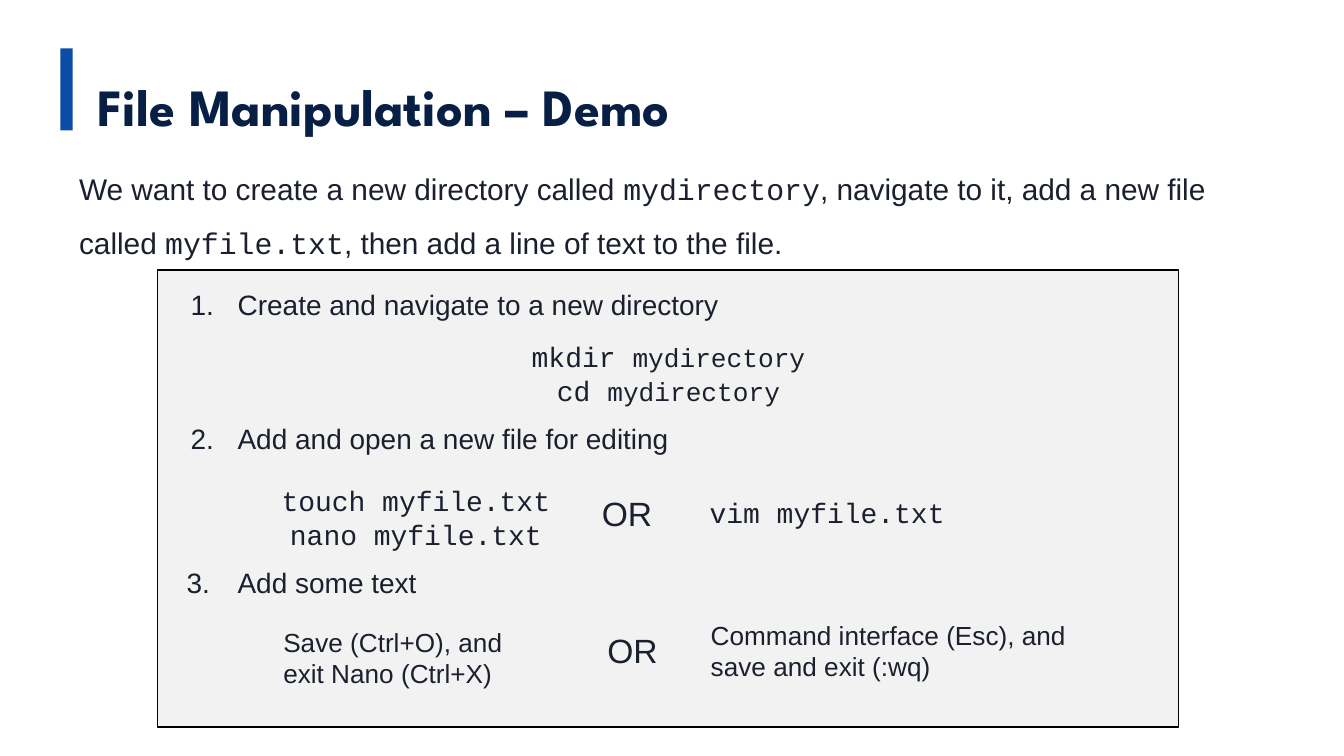
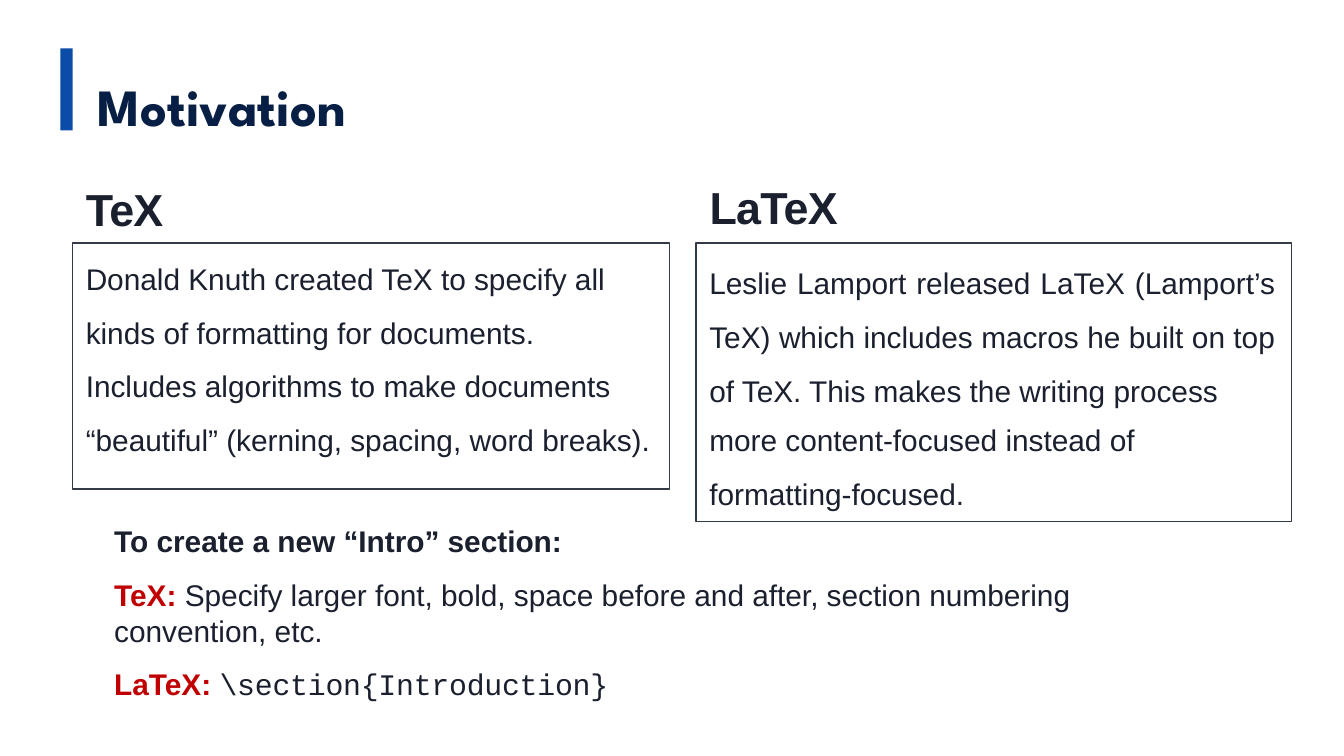
from dataclasses import dataclass
from lxml.etree import SubElement
from pptx import Presentation
from pptx.dml.color import RGBColor
from pptx.enum.shapes import MSO_SHAPE
from pptx.enum.text import MSO_ANCHOR, PP_ALIGN
from pptx.oxml.ns import qn
from pptx.util import Inches, Pt


@dataclass(frozen=True)
class Theme:
    navy: str = "071F45"
    blue: str = "0A4CA8"
    ink: str = "1B202F"
    red: str = "C00000"
    gray: str = "F2F2F2"
    edge: str = "333B46"
    black: str = "000000"
    sans: str = "Arial"
    mono: str = "Courier New"
    head: str = "League Spartan"
    title: int = 28
    sub: int = 24
    link: int = 18
    body: int = 16
    step: int = 15
    note: int = 14


T = Theme()


def look(size, name=T.sans, color=T.ink, bold=False, track=0):
    return {"size": Pt(size), "name": name, "color": color, "bold": bold,
            "track": track}


LOOKS = {
    "title": look(T.title, T.head, T.navy, True),
    "sub": look(T.sub, bold=True, track=-0.4),
    "link": look(T.link),
    "body": look(T.body),
    "bold": look(T.body, bold=True),
    "red": look(T.body, color=T.red, bold=True),
    "term": look(T.body, T.mono),
    "macro": look(T.body, T.mono, track=-0.1),
    "step": look(T.step),
    "code": look(T.step, T.mono),
    "arg": look(T.note, T.mono),
    "note": look(T.note),
}

MID = {"alignment": PP_ALIGN.CENTER}
PAD = (0.1, 0.05, 0.1, 0.05)

INTRO = [
    ("We want to create a new directory called ", "body"),
    ("mydirectory", "term"),
    (", navigate to it, add a new file called ", "body"),
    ("myfile.txt", "term"),
    (", then add a line of text to the file.", "body"),
]

STEPS = [
    (1.32, 2.09, "Create and navigate to a new directory"),
    (1.32, 3.09, "Add and open a new file for editing"),
    (1.29, 4.16, "Add some text"),
]
STEP_TEXT = 1.77

DEMO = [
    ((0.49, 1.09, 8.79, 0.87), [(INTRO, {"line_spacing": 1.5})]),
    ((3.18, 2.48, 3.59, 0.62), [
        ([("mkdir ", "code"), ("mydirectory", "arg")], MID),
        ([("cd ", "code"), ("mydirectory", "arg")], MID),
    ]),
    ((1.67, 3.55, 2.85, 0.61), [
        ([("touch myfile.txt", "code")], MID),
        ([("nano myfile.txt", "code")], MID),
    ]),
    ((4.38, 3.62, 0.62, 0.4), [([("OR", "link")], {})]),
    ((4.73, 3.64, 2.85, 0.35), [([("vim myfile.txt", "code")], MID)]),
    ((2.01, 4.61, 1.93, 0.57),
     [([("Save (Ctrl+O), and exit Nano (Ctrl+X)", "note")], {})]),
    ((4.42, 4.64, 0.62, 0.4), [([("OR", "link")], {})]),
    ((5.19, 4.56, 3.16, 0.57),
     [([("Command interface (Esc), and save and exit (:wq)", "note")], {})]),
]

CARDS = [
    ((0.54, 1.81, 4.44, 1.83), (0.1, 0.13, 0, 0), [
        ([("Donald Knuth created TeX to specify all", "body")], {}),
        ([("kinds of formatting for documents.", "body"),
          None,
          ("Includes algorithms to make documents “beautiful” "
           "(kerning, spacing, word breaks).", "body")],
         {"line_spacing": 1.5}),
    ]),
    ((5.18, 1.81, 4.43, 2.07), (0.1, 0.03, 0.12, 0), [
        ([("Leslie Lamport released LaTeX (Lamport’s TeX) which includes "
           "macros he built on top of TeX. This makes the writing process",
           "body")],
         {"alignment": PP_ALIGN.JUSTIFY, "line_spacing": Pt(28.8)}),
        ([("more content-focused instead of", "body")],
         {"alignment": PP_ALIGN.JUSTIFY, "space_before": Pt(7)}),
        ([("formatting-focused.", "body")], {"space_before": Pt(9.6)}),
    ]),
]

GAP = {"space_before": Pt(9.6)}
NOTES = [
    ((0.84, 3.74, 7.17, 1.51), (0.01, 0.15, 0, 0), [
        ([("To create a new “Intro” section:", "bold")], {}),
        ([("TeX: ", "red"),
          ("Specify larger font, bold, space before and after, section "
           "numbering convention, etc.", "body")], GAP),
        ([("LaTeX: ", "red"), ("\\section{Introduction}", "macro")], GAP),
    ]),
    ((0.63, 1.34, 0.61, 0.43), (0.01, 0.01, 0, 0),
     [([("TeX", "sub")], {})]),
    ((5.27, 1.33, 1, 0.43), (0.01, 0.01, 0, 0),
     [([("LaTeX", "sub")], {})]),
]


def apply(obj, vals):
    for key, val in vals.items():
        if key == "color":
            obj.color.rgb = RGBColor.from_string(val)
        elif key == "track":
            obj._rPr.set("spc", str(round(val * 100)))
        else:
            setattr(obj, key, val)


def write(shape, paras, pad=PAD):
    frame = shape.text_frame
    left, top, right, base = map(Inches, pad)
    apply(frame, {
        "word_wrap": True, "vertical_anchor": MSO_ANCHOR.TOP,
        "margin_left": left, "margin_top": top,
        "margin_right": right, "margin_bottom": base,
    })
    for num, (runs, form) in enumerate(paras):
        para = frame.add_paragraph() if num else frame.paragraphs[0]
        apply(para, {"alignment": PP_ALIGN.LEFT, **form})
        for part in runs:
            if part is None:
                para.add_line_break()
                continue
            run = para.add_run()
            run.text = part[0]
            apply(run.font, LOOKS[part[1]])
    return frame


def text(slide, at, paras, pad=PAD):
    return write(slide.shapes.add_textbox(*map(Inches, at)), paras, pad)


def rect(slide, at, fill=None, line=None):
    box = slide.shapes.add_shape(MSO_SHAPE.RECTANGLE, *map(Inches, at))
    box.shadow.inherit = False
    if fill:
        box.fill.solid()
        box.fill.fore_color.rgb = RGBColor.from_string(fill)
    else:
        box.fill.background()
    if line:
        apply(box.line, {"color": line, "width": Pt(0.75)})
    else:
        box.line.fill.background()
    return box


def number(para, num, hang):
    prop = para._p.get_or_add_pPr()
    prop.set("marL", str(Inches(hang)))
    prop.set("indent", str(-Inches(hang)))
    mark = SubElement(prop, qn("a:buAutoNum"), type="arabicPeriod")
    mark.set("startAt", str(num))


def begin(deck, title):
    slide = deck.slides.add_slide(deck.slide_layouts[6])
    rect(slide, (0.45, 0.36, 0.09, 0.61), T.blue)
    text(slide, (0.63, 0.18, 7.4, 0.79),
         [([(title, "title")], {"line_spacing": 1.7})])
    return slide


def demo(deck):
    slide = begin(deck, "File Manipulation – Demo")
    rect(slide, (1.17, 2.01, 7.6, 3.4), T.gray, T.black)
    for num, (left, top, line) in enumerate(STEPS, 1):
        frame = text(slide, (left, top, 7.36, 0.35), [([(line, "step")], {})])
        number(frame.paragraphs[0], num, round(STEP_TEXT - left - PAD[0], 2))
    for at, paras in DEMO:
        text(slide, at, paras)


def motive(deck):
    slide = begin(deck, "Motivation")
    for at, pad, paras in CARDS:
        write(rect(slide, at, line=T.edge), paras, pad)
    for at, pad, paras in NOTES:
        text(slide, at, paras, pad)


def main():
    deck = Presentation()
    wide = Inches(10)
    apply(deck, {"slide_width": wide, "slide_height": wide * 9 // 16})
    demo(deck)
    motive(deck)
    deck.save("out.pptx")


if __name__ == "__main__":
    main()
